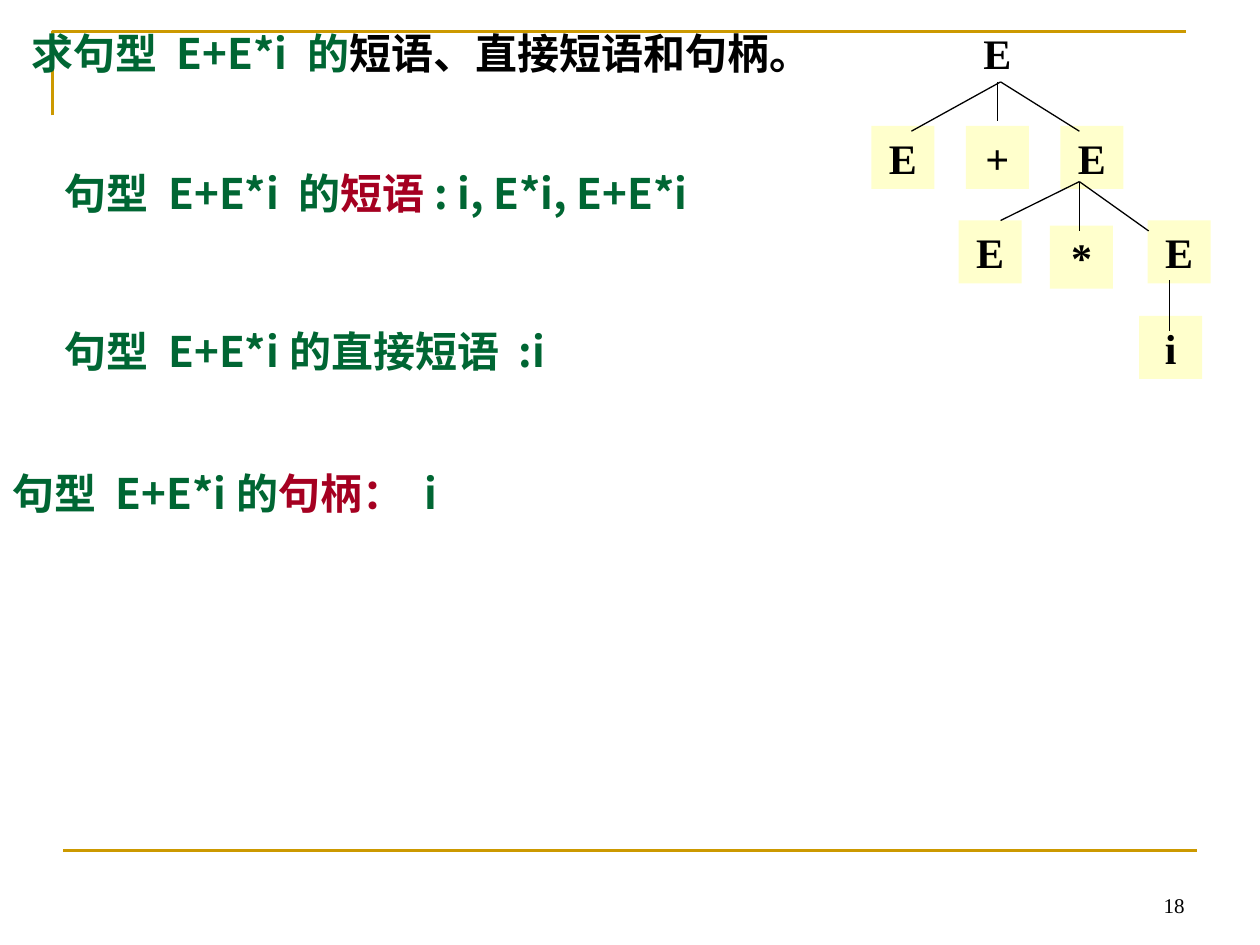
from dataclasses import dataclass

from lxml import etree
from pptx import Presentation
from pptx.dml.color import RGBColor
from pptx.enum.shapes import MSO_CONNECTOR, MSO_SHAPE
from pptx.enum.text import MSO_ANCHOR, MSO_AUTO_SIZE, PP_ALIGN
from pptx.oxml.ns import qn
from pptx.util import Inches, Pt

STRAIGHT = MSO_CONNECTOR.STRAIGHT
RECTANGLE = MSO_SHAPE.RECTANGLE
TOP, MIDDLE, BOTTOM = MSO_ANCHOR.TOP, MSO_ANCHOR.MIDDLE, MSO_ANCHOR.BOTTOM
LEFT, CENTER, RIGHT = PP_ALIGN.LEFT, PP_ALIGN.CENTER, PP_ALIGN.RIGHT
FIT_SHAPE = MSO_AUTO_SIZE.SHAPE_TO_FIT_TEXT

WIDTH, HEIGHT = Inches(10), Inches(7.5)
COLUMNS, ROWS = 120, 90


@dataclass(frozen=True)
class Theme:
    gold: RGBColor = RGBColor(0xCC, 0x99, 0x00)
    green: RGBColor = RGBColor(0x00, 0x66, 0x33)
    red: RGBColor = RGBColor(0xA5, 0x00, 0x21)
    black: RGBColor = RGBColor(0x00, 0x00, 0x00)
    cream: RGBColor = RGBColor(0xFF, 0xFF, 0xCC)
    chinese: str = "Noto Sans CJK SC"
    latin: str = "Times New Roman"
    body_size: Pt = Pt(24)
    number_size: Pt = Pt(12)
    frame_width: Pt = Pt(1.5)
    branch_width: Pt = Pt(0.75)


THEME = Theme()


def across(columns):
    return round(WIDTH * columns / COLUMNS)


def down(rows):
    return round(HEIGHT * rows / ROWS)


def place(box):
    left, top, width, height = box
    return across(left), down(top), across(width), down(height)


def add_line(slide, start, end, color, width):
    line = slide.shapes.add_connector(
        STRAIGHT, across(start[0]), down(start[1]), across(end[0]), down(end[1])
    )
    line.line.color.rgb = color
    line.line.width = width
    etree.SubElement(line._element.spPr, qn("a:effectLst"))


def write(shape, runs, font_name, size, bold=True, align=LEFT, anchor=TOP,
          spacing=None, indent=0):
    frame = shape.text_frame
    frame.word_wrap = True
    frame.auto_size = FIT_SHAPE
    frame.vertical_anchor = anchor
    paragraph = frame.paragraphs[0]
    paragraph.alignment = align
    if spacing:
        paragraph.line_spacing = spacing
    if indent:
        paragraph._p.get_or_add_pPr().set("marL", str(across(indent)))
    font = paragraph.font
    font.size, font.bold, font.name = size, bold, font_name
    east_asian = etree.SubElement(font._element, qn("a:ea"))
    east_asian.set("typeface", font_name)
    for text, color in runs:
        run = paragraph.add_run()
        run.text = text
        run.font.color.rgb = color


def add_frame(slide, box):
    left, top, width, height = box
    corner_height = 8
    builder = slide.shapes.build_freeform(across(left), down(top + corner_height))
    builder.add_line_segments(
        [(across(left), down(top)), (across(left + width), down(top))], close=False
    )
    corner = builder.convert_to_shape()
    corner.shadow.inherit = False
    corner.fill.background()
    corner.line.color.rgb = THEME.gold
    corner.line.width = THEME.frame_width
    bottom = top + height
    add_line(slide, (left + 1, bottom), (left + width + 1, bottom),
             THEME.gold, THEME.frame_width)


def add_page_number(slide, box):
    text_box = slide.shapes.add_textbox(*place(box))
    write(text_box, [("18", THEME.black)], THEME.latin, THEME.number_size,
          bold=False, align=RIGHT, anchor=BOTTOM)


def add_statement(slide, box, runs, **layout):
    text_box = slide.shapes.add_textbox(*place(box))
    write(text_box, runs, THEME.chinese, THEME.body_size, **layout)


def add_syntax_tree(slide, box):
    left, top = box[:2]
    node_size = 6
    nodes = [
        ("E", 9, 0),
        ("E", 18, 10), ("+", 9, 10), ("E", 0, 10),
        ("E", 26.3, 19), ("*", 17, 19.5), ("E", 8.3, 19),
        ("i", 25.5, 28.1),
    ]
    branches = [
        ((12, 5.8), [(12, 9.5)]),
        ((12.3, 5.8), [(3.8, 10.5), (19.8, 10.5)]),
        ((19.8, 15.3), [(12.3, 19), (19.8, 20), (26.4, 20)]),
        ((28.4, 24.7), [(28.4, 29.5)]),
    ]
    for symbol, column, row in nodes:
        node = slide.shapes.add_shape(
            RECTANGLE, *place((left + column, top + row, node_size, node_size))
        )
        node.shadow.inherit = False
        node.line.fill.background()
        if row:
            node.fill.solid()
            node.fill.fore_color.rgb = THEME.cream
        else:
            node.fill.background()
        write(node, [(symbol, THEME.black)], THEME.latin, THEME.body_size, align=CENTER)
    for parent, children in branches:
        for child in children:
            add_line(slide, (left + parent[0], top + parent[1]),
                     (left + child[0], top + child[1]),
                     THEME.black, THEME.branch_width)


def main():
    presentation = Presentation()
    presentation.slide_width, presentation.slide_height = WIDTH, HEIGHT
    slide = presentation.slides.add_slide(presentation.slide_layouts[6])
    green, red, black = THEME.green, THEME.red, THEME.black

    add_frame(slide, (5, 3, 108, 78))
    add_page_number(slide, (86, 82, 28, 6))
    add_statement(slide, (0, 41.5, 79, 8.4),
                  [("句型 E+E*i的", green), ("句柄： ", red), ("i", green)],
                  anchor=MIDDLE, spacing=1.5)
    add_syntax_tree(slide, (83, 2, 32.3, 34.1))
    add_statement(slide, (0, 2, 86, 13.3),
                  [("求句型 E+E*i 的", green), ("短语、直接短语和句柄。", black)],
                  indent=1.8)
    add_statement(slide, (5, 13, 74, 22.9),
                  [("句型 E+E*i 的", green), ("短语", red), (": i, E*i, E+E*i", green)],
                  spacing=1.5)
    add_statement(slide, (5, 28, 70, 15.7),
                  [("句型 E+E*i的直接短语 :i", green)], spacing=1.5)

    presentation.save("out.pptx")


if __name__ == "__main__":
    main()
